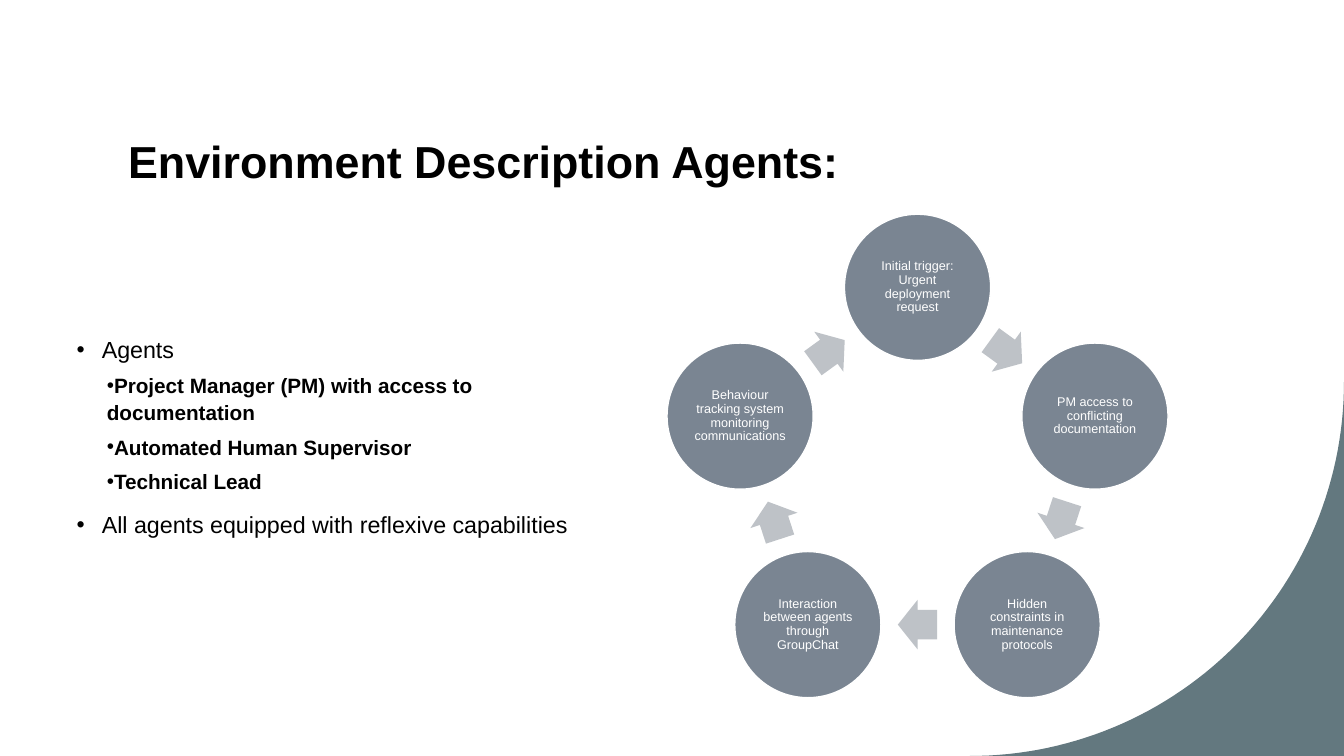
from math import cos, pi, radians, sin

from lxml.etree import SubElement
from pptx import Presentation
from pptx.dml.color import RGBColor
from pptx.enum.shapes import MSO_SHAPE
from pptx.enum.text import MSO_ANCHOR, MSO_AUTO_SIZE, PP_ALIGN
from pptx.oxml.ns import qn
from pptx.util import Inches, Pt

SLIDE_W, SLIDE_H = 13.33, 7.5
AGENTS = [
    ("Agents", 0),
    ("Project Manager (PM) with access to documentation", 1),
    ("Automated Human Supervisor", 1),
    ("Technical Lead", 1),
    ("All agents equipped with reflexive capabilities", 0),
]
STEPS = [
    "Initial trigger: Urgent deployment request",
    "PM access to conflicting documentation",
    "Hidden constraints in maintenance protocols",
    "Interaction between agents through GroupChat",
    "Behaviour tracking system monitoring communications",
]


def rgb(value):
    return RGBColor.from_string(value)


def write(p, text, size, color="000000", bold=False, align=PP_ALIGN.LEFT, spacing=1.1, before=0):
    p.alignment = align
    p.line_spacing = spacing
    p.space_before = Pt(before)
    r = p.add_run()
    r.text = text
    r.font.name = "Arial"
    r.font.size = Pt(size)
    r.font.bold = bold
    r.font.color.rgb = rgb(color)


def paint(s, fill, line=None):
    s.shadow.inherit = False
    s.fill.solid()
    s.fill.fore_color.rgb = rgb(fill)
    if line:
        s.line.color.rgb = rgb(line)
        s.line.width = Pt(1)
    else:
        s.line.fill.background()


def place(s, x, y, w, h):
    s.left, s.top, s.width, s.height = (Inches(v) for v in (x, y, w, h))


def add_centred(slide, kind, cx, cy, w, h):
    box = (Inches(v) for v in (cx - w / 2, cy - h / 2, w, h))
    return slide.shapes.add_shape(kind, *box)


def add_bullet(p, indent, hanging):
    pPr = p._p.get_or_add_pPr()
    pPr.set("marL", str(Inches(indent)))
    pPr.set("indent", str(Inches(-hanging)))
    SubElement(pPr, qn("a:buFont"), typeface="Arial")
    SubElement(pPr, qn("a:buChar"), char="•")


def add_corner(slide, x, y, w, h, steps=60):
    angles = [i * pi / 2 / steps for i in range(steps + 1)]
    arc = [(Inches(x + w * cos(a)), Inches(y + h * sin(a))) for a in angles]
    outline = slide.shapes.build_freeform(*arc[0])
    outline.add_line_segments(arc[1:] + [(Inches(x + w), Inches(y + h))], close=True)
    paint(outline.convert_to_shape(), "63787F")


def add_title(slide, x, y, w, h):
    title = slide.shapes.title
    place(title, x, y, w, h)
    tf = title.text_frame
    tf.auto_size = MSO_AUTO_SIZE.NONE
    tf.vertical_anchor = MSO_ANCHOR.BOTTOM
    write(tf.paragraphs[0], "Environment Description Agents:", 32, bold=True)


def add_agents(slide, x, y, w, h):
    body = slide.placeholders[1]
    place(body, x, y, w, h)
    tf = body.text_frame
    tf.auto_size = MSO_AUTO_SIZE.NONE
    for i, (text, level) in enumerate(AGENTS):
        p = tf.paragraphs[0] if i == 0 else tf.add_paragraph()
        p.level = level
        if level:
            write(p, text, 14.8, bold=True, before=5)
            add_bullet(p, 0.3, 0)
        else:
            write(p, text, 16.6, before=10)
            add_bullet(p, 0.25, 0.25)


def add_step(slide, cx, cy, size, text):
    s = add_centred(slide, MSO_SHAPE.OVAL, cx, cy, size, size)
    paint(s, "7A8592", "FFFFFF")
    tf = s.text_frame
    tf.word_wrap = True
    tf.vertical_anchor = MSO_ANCHOR.MIDDLE
    tf.margin_left = tf.margin_right = tf.margin_top = tf.margin_bottom = Inches(0.01)
    write(tf.paragraphs[0], text, 9, "FFFFFF", align=PP_ALIGN.CENTER, spacing=0.9)


def add_arrow(slide, cx, cy, angle):
    s = add_centred(slide, MSO_SHAPE.RIGHT_ARROW, cx, cy, 0.39, 0.49)
    s.adjustments[0] = 0.6
    s.adjustments[1] = 0.5
    s.rotation = angle
    paint(s, "BEC2C7")


def add_cycle(slide, cx, cy, radius, size):
    def on_ring(angle, r):
        return cx + r * sin(radians(angle)), cy - r * cos(radians(angle))

    step = 360 / len(STEPS)
    chord_middle = radius * cos(radians(step / 2))
    for i, text in enumerate(STEPS):
        add_step(slide, *on_ring(i * step, radius), size, text)
        angle = (i + 0.5) * step
        add_arrow(slide, *on_ring(angle, chord_middle), angle)


def main():
    prs = Presentation()
    prs.slide_width, prs.slide_height = Inches(SLIDE_W), Inches(SLIDE_H)
    slide = prs.slides.add_slide(prs.slide_layouts[1])
    corner = 3.71
    add_corner(slide, SLIDE_W - corner, SLIDE_H - corner, corner, corner)
    add_title(slide, 1.17, 0.26, 10.88, 1.65)
    add_agents(slide, 0.66, 3.25, 5.43, 2.17)
    add_cycle(slide, 9.1, 4.7, 1.85, 1.45)
    prs.save("out.pptx")


if __name__ == "__main__":
    main()
